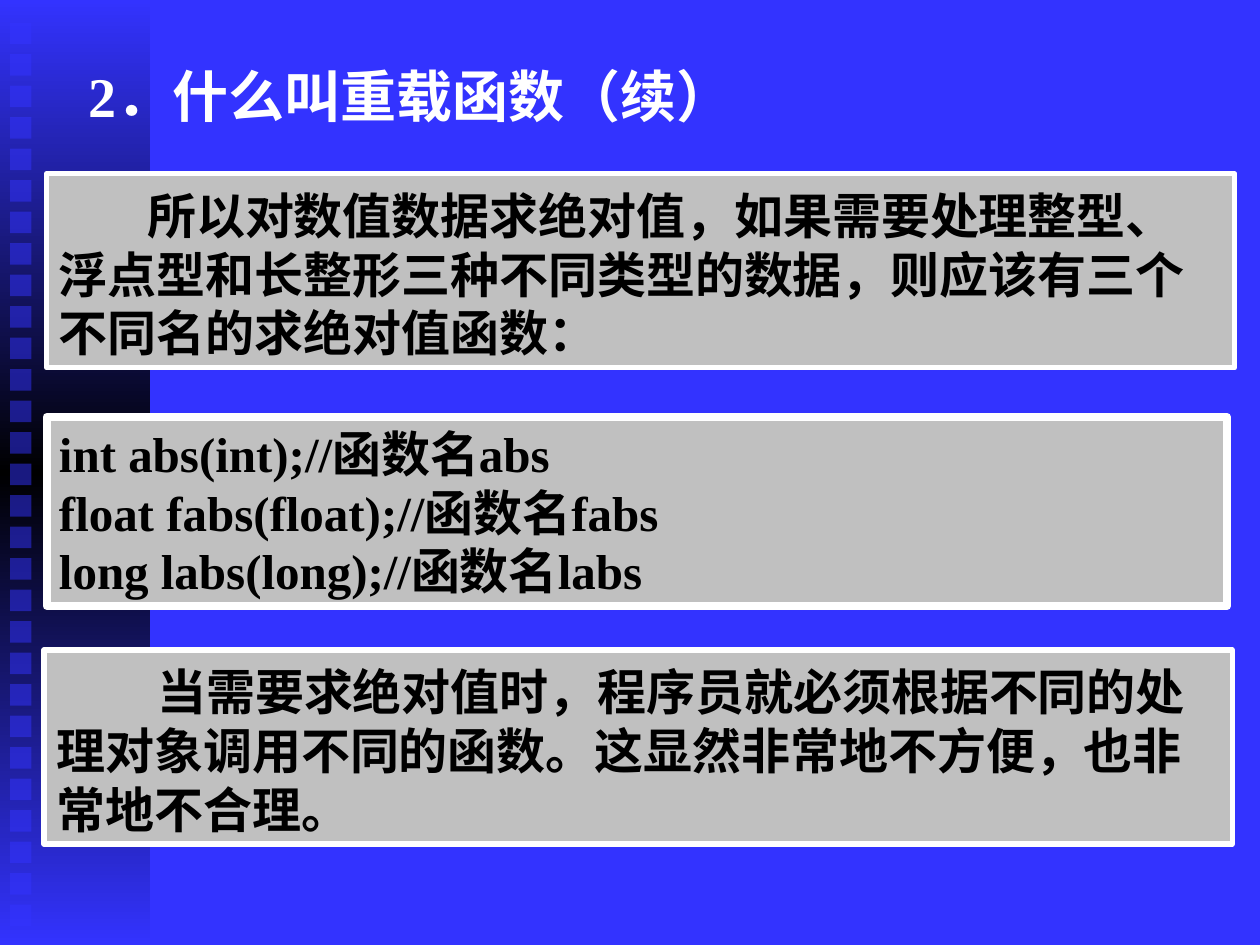
from lxml.etree import SubElement
from pptx import Presentation
from pptx.dml.color import RGBColor
from pptx.enum.lang import MSO_LANGUAGE_ID
from pptx.enum.shapes import MSO_SHAPE
from pptx.enum.text import MSO_ANCHOR, PP_ALIGN
from pptx.oxml.ns import qn
from pptx.util import Inches, Pt

BLUE, BLACK, WHITE, GREY = "3333FF", "000000", "FFFFFF", "C0C0C0"


def color(hex_code):
    """Return the colour for a hex string."""
    return RGBColor.from_string(hex_code)


def add_rect(slide, box, fill=None, line=None, line_width=0):
    """Add a flat rectangle at box, given in inches."""
    rect = slide.shapes.add_shape(MSO_SHAPE.RECTANGLE, *map(Inches, box))
    rect.shadow.inherit = False
    if fill:
        rect.fill.solid()
        rect.fill.fore_color.rgb = color(fill)
    if line:
        rect.line.color.rgb = color(line)
        rect.line.width = Pt(line_width)
    else:
        rect.line.fill.background()
    return rect


def write_text(frame, text, size=28, ink=BLACK, indent=0, hanging=0,
               anchor=MSO_ANCHOR.TOP, align=PP_ALIGN.LEFT, top_inset=0.05):
    """Fill a text frame with one bold paragraph per line of text."""
    frame.word_wrap = True
    frame.vertical_anchor = anchor
    frame.margin_top = Inches(top_inset)
    frame.text = text
    for paragraph in frame.paragraphs:
        paragraph.alignment = align
        properties = paragraph._p.get_or_add_pPr()
        properties.set("marL", str(Inches(hanging)))
        properties.set("indent", str(Inches(indent - hanging)))
        for run in paragraph.runs:
            run.font.name = "Times New Roman"
            run.font.size = Pt(size)
            run.font.bold = True
            run.font.color.rgb = color(ink)
            run.font.language_id = MSO_LANGUAGE_ID.SIMPLIFIED_CHINESE


def add_side_band(slide, box):
    """Draw the gradient band with its column of translucent squares."""
    left, top, _, _ = box
    band = add_rect(slide, box)
    band.fill.gradient()
    band.fill.gradient_angle = 90
    stops = band._element.spPr.find(qn("a:gradFill")).find(qn("a:gsLst"))
    for stop in list(stops):
        stops.remove(stop)
    for position, shade in ((0, BLUE), (50000, BLACK), (100000, BLUE)):
        stop = SubElement(stops, qn("a:gs"), pos=str(position))
        SubElement(stop, qn("a:srgbClr"), val=shade)
    for row in range(29):
        square = add_rect(slide, (left + 0.08, top + 0.18 + row * 0.25, 0.17, 0.17), BLUE)
        tint = square._element.spPr.find(qn("a:solidFill")).find(qn("a:srgbClr"))
        SubElement(tint, qn("a:alpha"), val="50000")


def add_title(slide, box, text):
    """Place the slide title."""
    title = slide.shapes.add_textbox(*map(Inches, box))
    write_text(title.text_frame, text, size=32, ink=WHITE, indent=0.33,
               align=PP_ALIGN.JUSTIFY)


def add_panel(slide, box, text, border=3, **text_format):
    """Place a grey panel with a white border and its text."""
    panel = add_rect(slide, box, GREY, WHITE, border)
    write_text(panel.text_frame, text, **text_format)


def main():
    """Build and save the slide."""
    presentation = Presentation()
    presentation.slide_width, presentation.slide_height = Inches(10), Inches(7.5)
    slide = presentation.slides.add_slide(presentation.slide_layouts[6])
    slide.background.fill.solid()
    slide.background.fill.fore_color.rgb = color(BLUE)

    add_side_band(slide, (0, 0, 1.19, 7.5))
    add_title(slide, (0.27, 0.44, 7.69, 0.58), "2．什么叫重载函数（续）")
    declarations = (("int", "abs"), ("float", "fabs"), ("long", "labs"))
    add_panel(slide, (0.37, 3.31, 9.37, 1.5),
              "\n".join(f"{kind} {name}({kind});//函数名{name}" for kind, name in declarations),
              border=4.5, hanging=0.5, anchor=MSO_ANCHOR.MIDDLE)
    add_panel(slide, (0.37, 1.38, 9.43, 1.54),
              "所以对数值数据求绝对值，如果需要处理整型、浮点型和长整形三种不同类型的数据，"
              "则应该有三个不同名的求绝对值函数：", indent=0.7, top_inset=0.09)
    add_panel(slide, (0.35, 5.16, 9.43, 1.54),
              "当需要求绝对值时，程序员就必须根据不同的处理对象调用不同的函数。"
              "这显然非常地不方便，也非常地不合理。", indent=0.8, top_inset=0.09)
    presentation.save("out.pptx")


if __name__ == "__main__":
    main()
